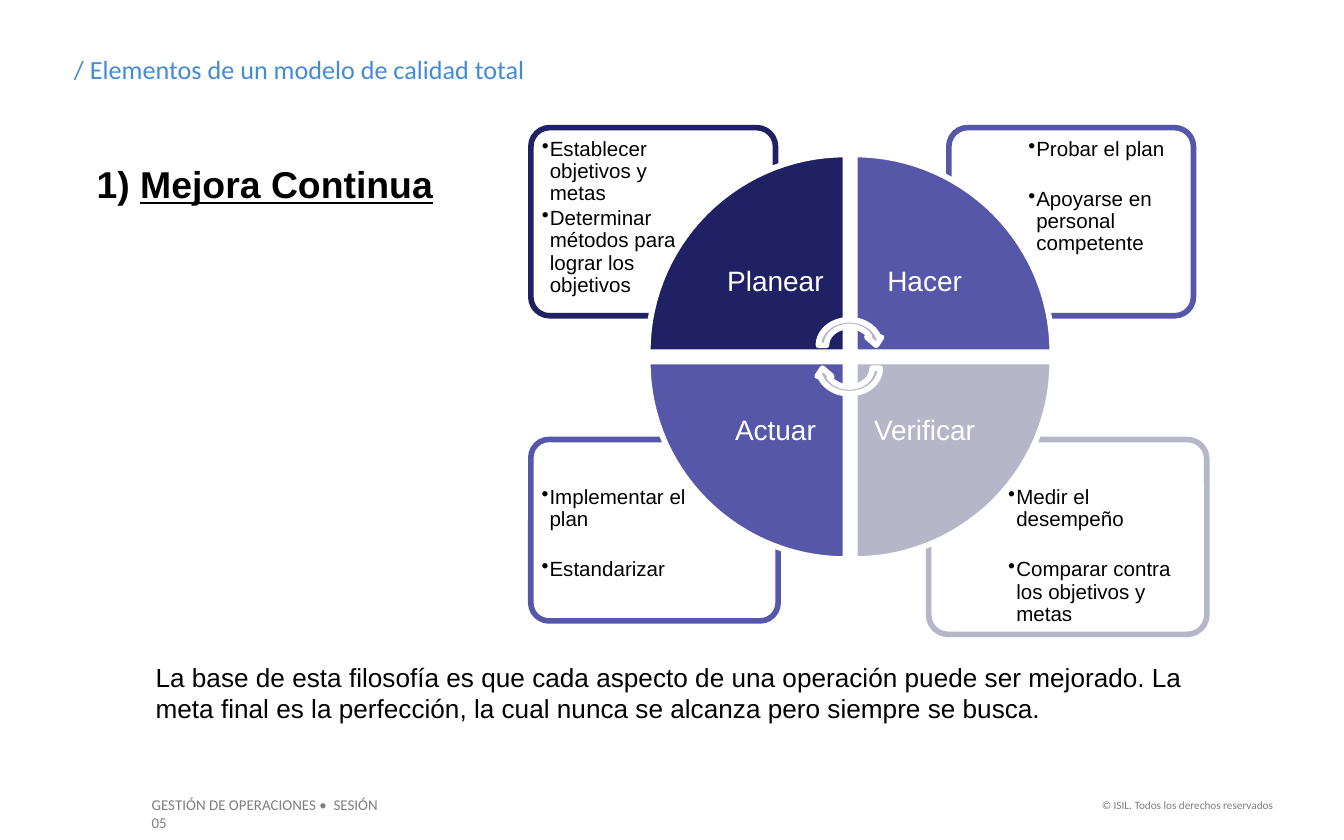
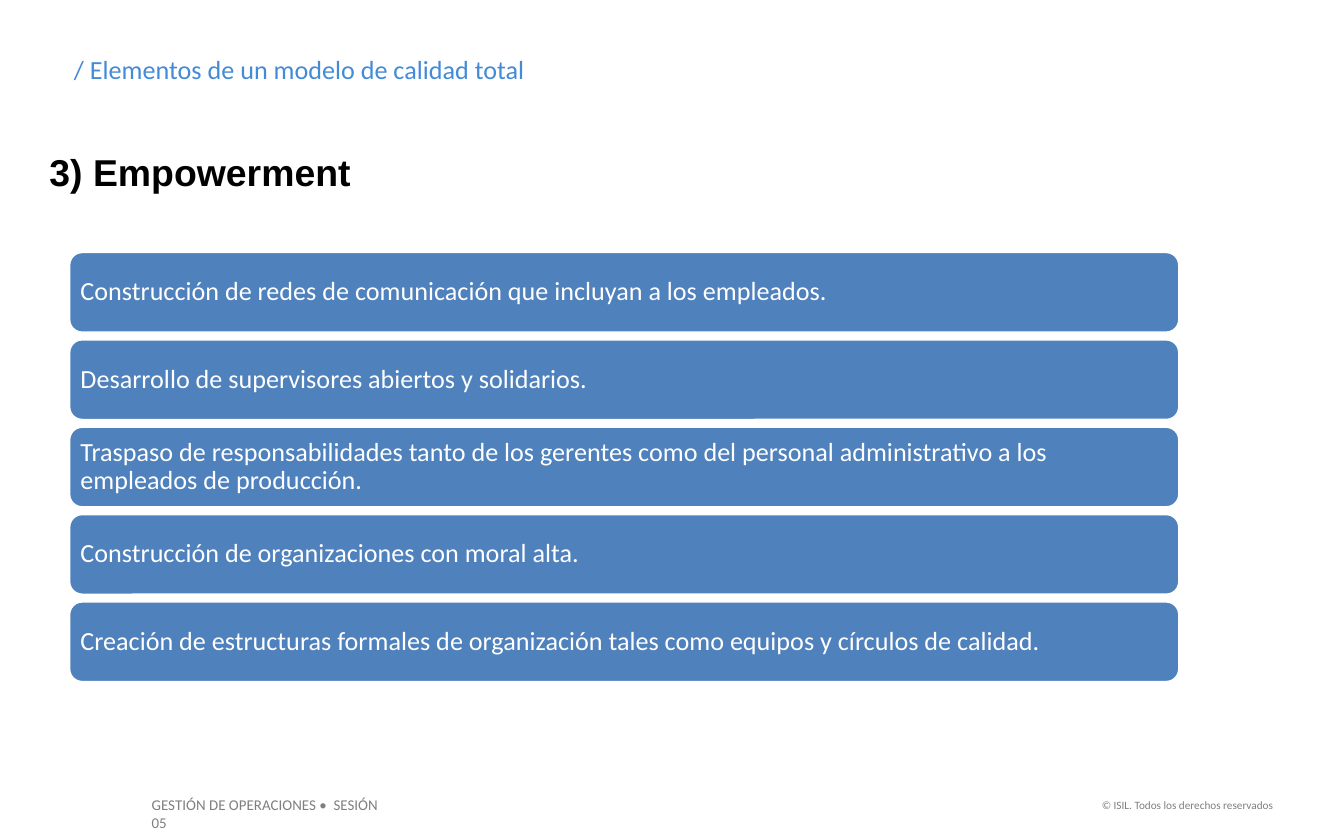
"""Build two slides on the elements of a total quality model."""
import math
from dataclasses import dataclass

import pptx
import pptx.dml.color
import pptx.enum.shapes
import pptx.enum.text
import pptx.oxml.ns
import pptx.util
from lxml import etree

PX = 9144
COLOURS = {
    "white": "FFFFFF",
    "black": "000000",
    "title": "438AD7",
    "footer": "7F7F7F",
    "navy": "202064",
    "violet": "5757AA",
    "silver": "B6B6C9",
    "arrow": "B4B4C9",
    "bar": "4F81BD",
}
TITLE = "/ Elementos de un modelo de calidad total"
TEXT_INSETS = (10, 5, 10, 5)
LEFT = pptx.enum.text.PP_ALIGN.LEFT
CENTER = pptx.enum.text.PP_ALIGN.CENTER
RIGHT = pptx.enum.text.PP_ALIGN.RIGHT
TOP = pptx.enum.text.MSO_ANCHOR.TOP
MIDDLE = pptx.enum.text.MSO_ANCHOR.MIDDLE
ROUNDED = pptx.enum.shapes.MSO_SHAPE.ROUNDED_RECTANGLE


@dataclass(frozen=True)
class Area:
    left: int
    top: int
    width: int
    height: int

    def emu(self) -> list[int]:
        return [side * PX for side in (self.left, self.top, self.width, self.height)]


@dataclass(frozen=True)
class Style:
    size: int
    colour: str
    font: str = "Arial"
    bold: bool = False
    align: pptx.enum.text.PP_ALIGN = LEFT
    spacing: float = 1.0


@dataclass(frozen=True)
class Label:
    text: str
    area: Area
    style: Style


@dataclass(frozen=True)
class Stage:
    name: str
    colour: str
    right: bool
    below: bool
    card: Area
    points: tuple[str, str]
    gap: float


TITLE_STYLE = Style(14, "title", "Calibri")
HEADING_STYLE = Style(20, "black", bold=True)
BODY_STYLE = Style(14, "black")
POINT_STYLE = Style(11, "black", spacing=0.9)
STAGE_STYLE = Style(15, "white", align=CENTER, spacing=0.9)
BAR_STYLE = Style(14, "white", "Calibri", spacing=0.9)

FOOTERS = (
    Label("GESTIÓN DE OPERACIONES •  SESIÓN 05", Area(103, 587, 202, 24),
          Style(8, "footer", "Calibri")),
    Label("© ISIL. Todos los derechos reservados", Area(803, 589, 154, 20),
          Style(6, "footer", "Calibri", align=RIGHT)),
)
STAGES = (
    Stage("Verificar", "silver", True, True, Area(691, 327, 207, 145),
          ("Medir el desempeño", "Comparar contra los objetivos y metas"), 15),
    Stage("Actuar", "violet", False, True, Area(395, 327, 184, 135),
          ("Implementar el plan", "Estandarizar"), 15),
    Stage("Hacer", "violet", True, False, Area(706, 95, 182, 140),
          ("Probar el plan", "Apoyarse en personal competente"), 15),
    Stage("Planear", "navy", False, False, Area(395, 95, 182, 140),
          ("Establecer objetivos y metas",
           "Determinar métodos para lograr los objetivos"), 1.6),
)
PRINCIPLES = (
    "Construcción de redes de comunicación que incluyan a los empleados.",
    "Desarrollo de supervisores abiertos y solidarios.",
    "Traspaso de responsabilidades tanto de los gerentes como del personal "
    "administrativo a los empleados de producción.",
    "Construcción de organizaciones con moral alta.",
    "Creación de estructuras formales de organización tales como equipos y "
    "círculos de calidad.",
)
PHILOSOPHY = (
    "La base de esta filosofía es que cada aspecto de una operación puede ser "
    "mejorado. La meta final es la perfección, la cual nunca se alcanza pero "
    "siempre se busca."
)


def rgb(name: str) -> pptx.dml.color.RGBColor:
    return pptx.dml.color.RGBColor.from_string(COLOURS[name])


def paint(shape, fill: str, line: str, width: float) -> None:
    shape.shadow.inherit = False
    shape.fill.solid()
    shape.fill.fore_color.rgb = rgb(fill)
    shape.line.color.rgb = rgb(line)
    shape.line.width = pptx.util.Pt(width)


def set_frame(shape, insets: tuple[int, ...], anchor=TOP):
    frame = shape.text_frame
    frame.word_wrap = True
    frame.auto_size = pptx.enum.text.MSO_AUTO_SIZE.NONE
    frame.vertical_anchor = anchor
    frame.margin_left, frame.margin_top, frame.margin_right, frame.margin_bottom = (
        inset * PX for inset in insets)
    return frame


def format_frame(frame, style: Style) -> None:
    for para in frame.paragraphs:
        para.alignment = style.align
        para.line_spacing = style.spacing
        for span in para.runs:
            span.font.name = style.font
            span.font.size = pptx.util.Pt(style.size)
            span.font.bold = style.bold
            span.font.color.rgb = rgb(style.colour)


def write(shape, text: str, style: Style, insets=TEXT_INSETS, anchor=TOP) -> None:
    frame = set_frame(shape, insets, anchor)
    frame.text = text
    format_frame(frame, style)


def add_label(page, label: Label):
    box = page.shapes.add_textbox(*label.area.emu())
    write(box, label.text, label.style)
    return box


def add_page(deck):
    page = deck.slides.add_slide(deck.slide_layouts[5])
    title = page.shapes.title
    title.left, title.top, title.width, title.height = Area(45, 35, 788, 34).emu()
    write(title, TITLE, TITLE_STYLE)
    for footer in FOOTERS:
        add_label(page, footer)
    return page


def add_bullet(para) -> None:
    properties = para._p.get_or_add_pPr()
    properties.set("marL", str(6 * PX))
    properties.set("indent", str(-8 * PX))
    bullet = etree.SubElement(properties, pptx.oxml.ns.qn("a:buChar"))
    bullet.set("char", "•")


def add_card(page, stage: Stage) -> None:
    card = page.shapes.add_shape(ROUNDED, *stage.card.emu())
    card.adjustments[0] = 0.1
    paint(card, "white", stage.colour, 3)
    colour = card.fill._xPr.find(".//" + pptx.oxml.ns.qn("a:srgbClr"))
    etree.SubElement(colour, pptx.oxml.ns.qn("a:alpha")).set("val", "90000")
    across = (55, 4) if stage.right else (4, 55)
    down = (31, 4) if stage.below else (4, 31)
    frame = set_frame(card, (across[0], down[0], across[1], down[1]))
    frame.text = "\n".join(stage.points)
    for para in frame.paragraphs:
        add_bullet(para)
    frame.paragraphs[1].space_before = pptx.util.Pt(stage.gap)
    format_frame(frame, POINT_STYLE)


def arc(centre: tuple[int, int], radii: tuple[int, int], start: int, end: int):
    angles = [math.radians(start + (end - start) * step / 30) for step in range(31)]
    return [(centre[0] + radii[0] * math.cos(angle),
             centre[1] - radii[1] * math.sin(angle)) for angle in angles]


def add_outline(page, points, fill: str):
    corners = [(x * PX, y * PX) for x, y in points]
    builder = page.shapes.build_freeform(*corners[0])
    builder.add_line_segments(corners[1:], close=True)
    shape = builder.convert_to_shape()
    paint(shape, fill, "white", 3)
    return shape


def add_quadrant(page, stage: Stage) -> None:
    corner = (636 if stage.right else 629, 269 if stage.below else 262)
    across, down = (1 if stage.right else -1), (-1 if stage.below else 1)
    curve = arc(corner, (147 * across, 147 * down), 0, 90)
    quadrant = add_outline(page, [corner, *curve], stage.colour)
    left, right = (12, 55) if stage.right else (55, 12)
    top, bottom = (12, 55) if stage.below else (55, 12)
    write(quadrant, stage.name, STAGE_STYLE, (left, top, right, bottom), MIDDLE)


def add_cycle_arrow(page, centre: tuple[int, int], side: int) -> None:
    head = [(centre[0] + side * x, centre[1] + side * y)
            for x, y in ((24, -6), (20, 0), (13, -6))]
    outer = arc(centre, (23 * side, 19 * side), 180, 18)
    inner = arc(centre, (17 * side, 14 * side), 28, 180)
    add_outline(page, [*outer, *head, *inner], "arrow")


def build_improvement(deck) -> None:
    page = add_page(deck)
    heading = add_label(page, Label("1) ", Area(62, 115, 282, 44), HEADING_STYLE))
    span = heading.text_frame.paragraphs[0].add_run()
    span.text = "Mejora Continua"
    span.font.underline = True
    format_frame(heading.text_frame, HEADING_STYLE)
    for stage in STAGES:
        add_card(page, stage)
    for stage in STAGES:
        add_quadrant(page, stage)
    add_cycle_arrow(page, (632, 257), 1)
    add_cycle_arrow(page, (632, 274), -1)
    add_label(page, Label(PHILOSOPHY, Area(106, 487, 827, 57), BODY_STYLE))


def build_empowerment(deck) -> None:
    page = add_page(deck)
    add_label(page, Label("3) Empowerment", Area(27, 106, 803, 44), HEADING_STYLE))
    for row, principle in enumerate(PRINCIPLES):
        bar = page.shapes.add_shape(ROUNDED, *Area(51, 187 + 65 * row, 827, 61).emu())
        paint(bar, "bar", "white", 2)
        write(bar, principle, BAR_STYLE, (6, 6, 6, 6), MIDDLE)


def main() -> None:
    deck = pptx.Presentation()
    deck.slide_width, deck.slide_height = 1000 * PX, 625 * PX
    build_improvement(deck)
    build_empowerment(deck)
    deck.save("out.pptx")


if __name__ == "__main__":
    main()
